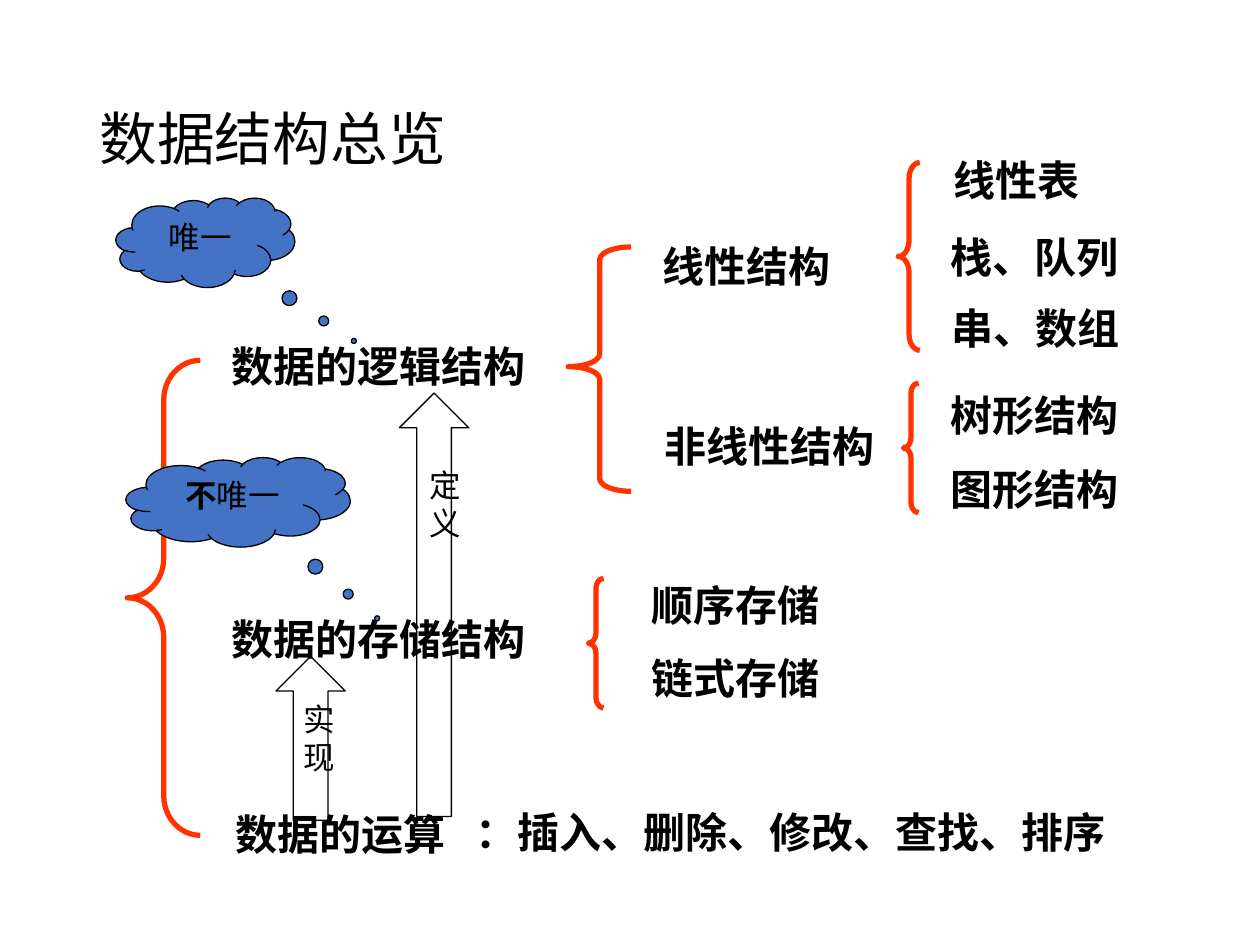
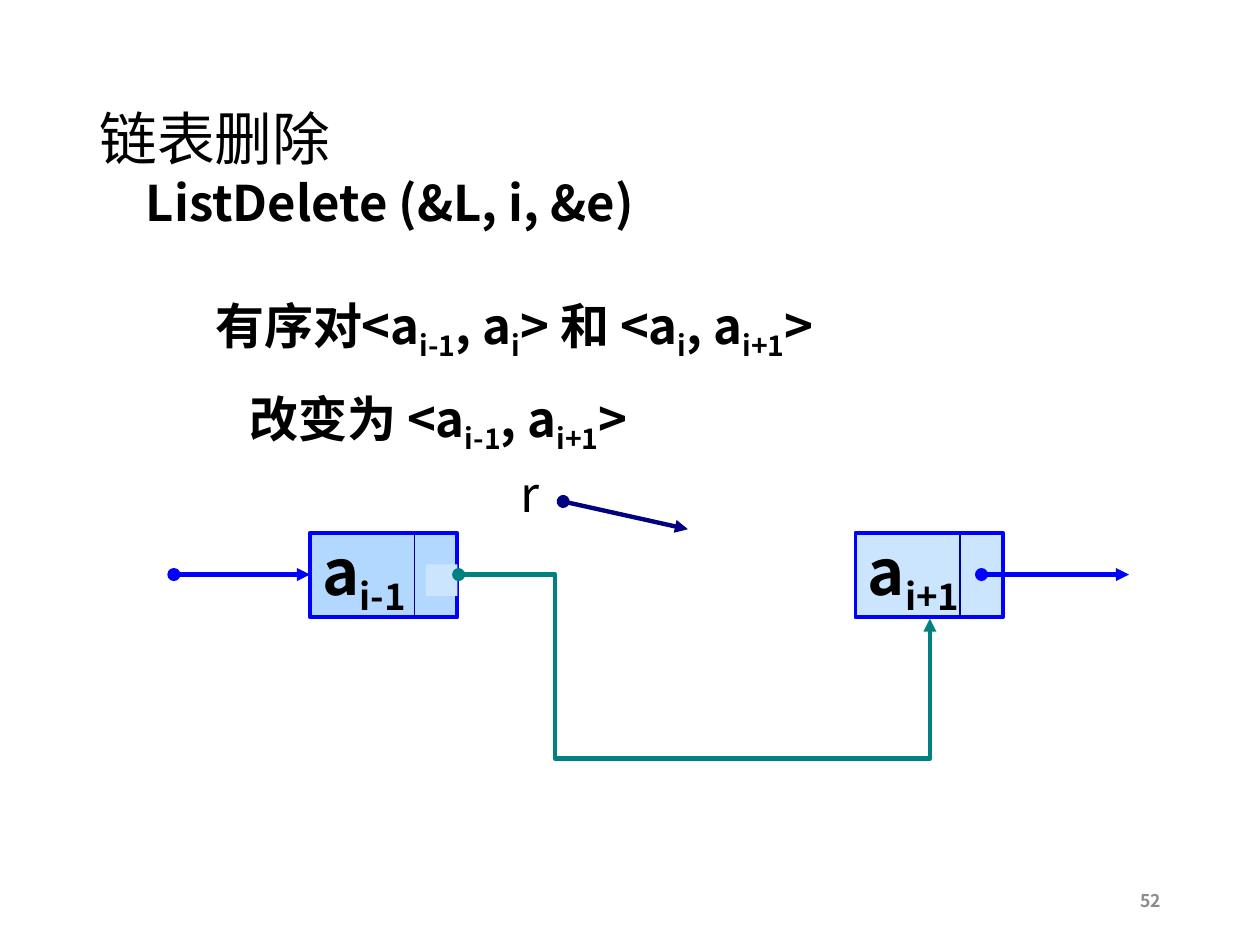
from dataclasses import dataclass, replace

from lxml import etree
from pptx import Presentation
from pptx.dml.color import RGBColor
from pptx.enum.shapes import MSO_CONNECTOR, MSO_SHAPE
from pptx.enum.text import MSO_ANCHOR, PP_ALIGN
from pptx.oxml.ns import qn
from pptx.util import Inches, Pt

LEFT, CENTER, RIGHT = PP_ALIGN.LEFT, PP_ALIGN.CENTER, PP_ALIGN.RIGHT
TOP, MIDDLE = MSO_ANCHOR.TOP, MSO_ANCHOR.MIDDLE
BRACE, CLOUD = MSO_SHAPE.LEFT_BRACE, MSO_SHAPE.CLOUD_CALLOUT
UP_ARROW, RECTANGLE = MSO_SHAPE.UP_ARROW, MSO_SHAPE.RECTANGLE
STRAIGHT, ELBOW = MSO_CONNECTOR.STRAIGHT, MSO_CONNECTOR.ELBOW


@dataclass(frozen=True)
class TextStyle:
    size: float
    bold: bool = False
    color: str = "000000"
    latin: str = "Noto Sans CJK SC"


@dataclass(frozen=True)
class Theme:
    east_asian: str = "Noto Sans CJK SC"
    title: TextStyle = TextStyle(33)
    label: TextStyle = TextStyle(24, True, latin="Times New Roman")
    note: TextStyle = TextStyle(18)
    statement: TextStyle = TextStyle(28, True)
    pointer: TextStyle = TextStyle(28)
    node: TextStyle = TextStyle(36, True)
    page: TextStyle = TextStyle(10, True, "8C8C8C")
    ink: str = "000000"
    brace: str = "FF3300"
    cloud: str = "4472C4"
    node_fill: str = "99CCFF"
    node_line: str = "0000FF"
    divider: str = "000099"
    new_link: str = "008080"
    pointer_line: str = "000080"
    patch: str = "CCE5FF"


THEME = Theme()


def rgb(value):
    return RGBColor.from_string(value)


def add_run(paragraph, text, style, subscript=False):
    run = paragraph.add_run()
    run.text = text
    font = run.font
    font.size, font.bold, font.name = Pt(style.size), style.bold, style.latin
    font.color.rgb = rgb(style.color)
    properties = run._r.get_or_add_rPr()
    etree.SubElement(properties, qn("a:ea")).set("typeface", THEME.east_asian)
    if subscript:
        properties.set("baseline", "-25000")


def write(paragraph, text, style):
    for index, part in enumerate(text.split("_")):
        if part:
            add_run(paragraph, part, style, subscript=index % 2 == 1)


def add_text(slide, box, text, style, align=LEFT, anchor=TOP, wrap=True, spacing=None):
    frame = slide.shapes.add_textbox(*map(Inches, box)).text_frame
    frame.word_wrap = wrap
    frame.vertical_anchor = anchor
    for index, line in enumerate(text.split("\n")):
        paragraph = frame.add_paragraph() if index else frame.paragraphs[0]
        paragraph.alignment = align
        if spacing:
            paragraph.line_spacing = spacing
        write(paragraph, line, style)
    return frame


def add_outline(slide, kind, box, line, width, fill=None, adjustments=()):
    shape = slide.shapes.add_shape(kind, *map(Inches, box))
    shape.shadow.inherit = False
    for index, value in enumerate(adjustments):
        shape.adjustments[index] = value
    if fill:
        shape.fill.solid()
        shape.fill.fore_color.rgb = rgb(fill)
    else:
        shape.fill.background()
    if line:
        shape.line.color.rgb = rgb(line)
        shape.line.width = Pt(width)
    else:
        shape.line.fill.background()
    return shape


def add_line(slide, start, end, color, width, kind=STRAIGHT, link=True):
    points = map(Inches, (*start, *end))
    line = slide.shapes.add_connector(kind, *points)
    line.line.color.rgb = rgb(color)
    line.line.width = Pt(width)
    properties = line._element.spPr
    if link:
        stroke = properties.find(qn("a:ln"))
        etree.SubElement(stroke, qn("a:headEnd")).set("type", "oval")
        etree.SubElement(stroke, qn("a:tailEnd")).set("type", "triangle")
    etree.SubElement(properties, qn("a:effectLst"))
    return line


def add_detour(slide, start, end, bends):
    detour = add_line(slide, start, end, THEME.new_link, 2.5, ELBOW)
    geometry = detour._element.spPr.find(qn("a:prstGeom"))
    geometry.set("prst", "bentConnector4")
    guides = geometry.find(qn("a:avLst"))
    if guides is None:
        guides = etree.SubElement(geometry, qn("a:avLst"))
    for index, bend in enumerate(bends, 1):
        guide = etree.SubElement(guides, qn("a:gd"))
        guide.set("name", f"adj{index}")
        guide.set("fmla", f"val {round(bend * 100000)}")


def add_node(slide, left, text, opacity):
    top, width, height, divider = 4.23, 1.17, 0.67, 0.83
    node = add_outline(slide, RECTANGLE, (left, top, width, height),
                       THEME.node_line, 2.25, THEME.node_fill)
    color = node._element.spPr.find(qn("a:solidFill"))[0]
    etree.SubElement(color, qn("a:alpha")).set("val", str(opacity * 1000))
    frame = node.text_frame
    frame.word_wrap = False
    frame.vertical_anchor = MIDDLE
    frame.paragraphs[0].alignment = LEFT
    write(frame.paragraphs[0], text, THEME.node)
    x = left + divider
    add_line(slide, (x, top), (x, top + height), THEME.divider, 0.75, link=False)


def add_cloud(slide, cloud_box, tail, note_box, strong, plain):
    add_outline(slide, CLOUD, cloud_box, THEME.ink, 0.75, THEME.cloud, tail)
    note = add_text(slide, note_box, strong, replace(THEME.note, bold=True), CENTER)
    add_run(note.paragraphs[0], plain, THEME.note)


def add_arrow(slide, arrow_box, note_box, text):
    add_outline(slide, UP_ARROW, arrow_box, THEME.ink, 0.75)
    add_text(slide, note_box, text, THEME.note, CENTER)


def add_slide(deck, title):
    slide = deck.slides.add_slide(deck.slide_layouts[6])
    add_text(slide, (0.69, 0.4, 8.62, 1.45), title, THEME.title,
             anchor=MIDDLE, spacing=0.9)
    return slide


def build_overview(deck):
    slide = add_slide(deck, "数据结构总览")
    braces = [
        ((1.01, 2.86, 0.58, 3.77), (0.54, 0.5)),
        ((4.67, 4.59, 0.12, 1.03), (0.69, 0.5)),
        ((4.51, 1.96, 0.5, 1.94), (0.2, 0.49)),
        ((7.13, 1.29, 0.17, 1.49), (0.74, 0.5)),
        ((7.17, 3.04, 0.12, 1.03), (0.69, 0.5)),
    ]
    for box, curve in braces:
        add_outline(slide, BRACE, box, THEME.brace, 3, adjustments=curve)
    labels = [
        (1.65, 2.65, 2.71, "数据的逻辑结构"),
        (1.65, 4.82, 2.71, "数据的存储结构"),
        (1.77, 6.37, 1.87, "数据的运算"),
        (5.07, 1.86, 1.71, "线性结构"),
        (5.13, 3.29, 1.96, "非线性结构"),
        (5.03, 4.55, 1.62, "顺序存储"),
        (4.94, 5.13, 1.79, "链式存储"),
        (7.47, 1.18, 1.2, "线性表"),
        (7.44, 1.79, 1.54, "栈、队列"),
        (7.45, 2.35, 1.54, "串、数组"),
        (7.44, 3.04, 1.54, "树形结构"),
        (7.44, 3.63, 1.54, "图形结构"),
        (3.62, 6.35, 5.31, "：插入、删除、修改、查找、排序"),
    ]
    for left, top, width, text in labels:
        add_text(slide, (left, top, width, 0.5), text, THEME.label, CENTER, wrap=False)
    add_cloud(slide, (0.92, 1.57, 1.42, 0.71), (0.83, 1.1),
              (1.18, 1.68, 0.82, 0.4), "", "唯一")
    add_cloud(slide, (1, 3.63, 1.78, 0.71), (0.62, 1.3),
              (1.33, 3.73, 1.03, 0.4), "不", "唯一")
    add_arrow(slide, (3.17, 3.12, 0.55, 3.36), (3.31, 3.65, 0.28, 0.74), "定义")
    add_arrow(slide, (2.19, 5.21, 0.55, 1.3), (2.31, 5.51, 0.29, 0.88), "实现")


def build_deletion(deck):
    slide = add_slide(deck, "链表删除")
    add_text(slide, (7.06, 6.95, 2.25, 0.4), "52", THEME.page, RIGHT, MIDDLE)
    add_text(slide, (1.06, 1.23, 7.33, 0.67), "ListDelete (&L, i, &e)",
             THEME.statement, spacing=1.2)
    pairs = add_text(
        slide, (1.61, 2.08, 6.6, 1.41),
        "有序对<a_i-1_, a_i_> 和 <a_i_, a_i+1_>\n改变为 <a_i-1_, a_i+1_>",
        THEME.statement, spacing=1.4)
    pairs.paragraphs[1]._p.get_or_add_pPr().set("marL", str(Inches(0.27)))

    link_y = 4.56
    add_node(slide, 2.46, "a_i-1_", 75)
    add_outline(slide, RECTANGLE, (3.38, 4.48, 0.25, 0.25), None, 0, THEME.patch)
    add_node(slide, 6.79, "a_i+1_", 50)
    for start, end in [(1.38, 2.46), (7.79, 8.96)]:
        add_line(slide, (start, link_y), (end, link_y), THEME.node_line, 2.5)
    add_detour(slide, (3.64, link_y), (7.38, 4.91), (0.205, 4.174))
    add_line(slide, (4.47, 3.98), (5.46, 4.2), THEME.pointer_line, 2.5)
    add_text(slide, (3.84, 3.63, 0.54, 0.57), "r", THEME.pointer, RIGHT)


def main():
    deck = Presentation()
    deck.slide_width, deck.slide_height = Inches(10), Inches(7.5)
    build_overview(deck)
    build_deletion(deck)
    deck.save("out.pptx")


main()
